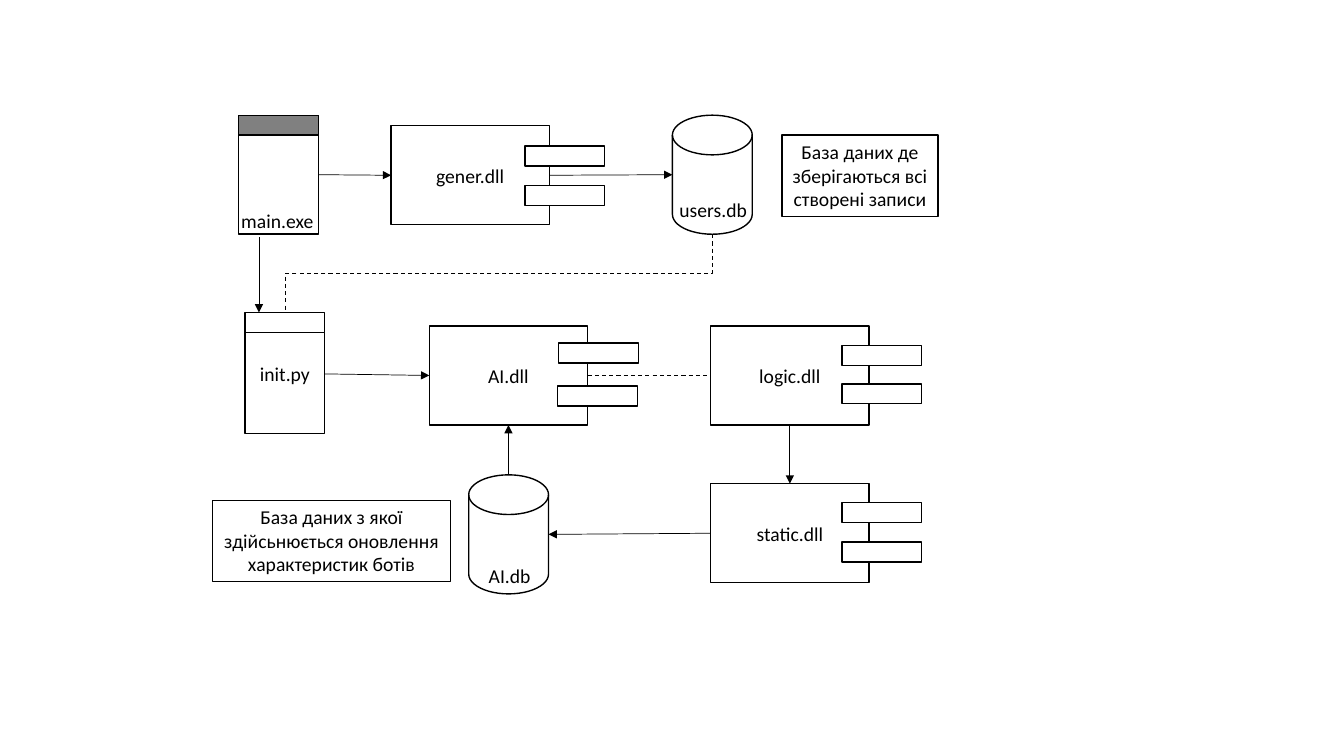
"""Build a component diagram slide of program modules and databases."""
from lxml.etree import SubElement
from pptx import Presentation
from pptx.dml.color import RGBColor
from pptx.enum.dml import MSO_LINE
from pptx.enum.shapes import MSO_CONNECTOR, MSO_SHAPE
from pptx.enum.text import MSO_ANCHOR, MSO_AUTO_SIZE, PP_ALIGN
from pptx.oxml.ns import qn
from pptx.util import Pt

TOP, LEFT, BOTTOM, RIGHT = range(4)


def rgb(value):
    return RGBColor.from_string(value)


class Diagram:
    font, size, ink, paper, header = "Calibri", 14, "000000", "FFFFFF", "808080"
    narrow, tall, wide, high, strip = 57, 85, 113, 70.8, 14.2

    def __init__(self, slide):
        self.shapes = slide.shapes

    def set_text(self, sp, text, align, anchor, grow=False, wrap=True):
        tf = sp.text_frame
        tf.text = text
        tf.word_wrap = wrap
        tf.vertical_anchor = anchor
        if grow:
            tf.auto_size = MSO_AUTO_SIZE.SHAPE_TO_FIT_TEXT
        p = tf.paragraphs[0]
        p.alignment = align
        r = p.runs[0]
        r.font.name, r.font.size = self.font, Pt(self.size)
        r.font.color.rgb = rgb(self.ink)

    def box(self, x, y, w, h, text="", fill=None, kind=MSO_SHAPE.RECTANGLE):
        sp = self.shapes.add_shape(kind, Pt(x), Pt(y), Pt(w), Pt(h))
        sp.shadow.inherit = False
        sp.fill.solid()
        sp.fill.fore_color.rgb = rgb(fill or self.paper)
        sp.line.color.rgb = rgb(self.ink)
        sp.line.width = Pt(1)
        if text:
            self.set_text(sp, text, PP_ALIGN.CENTER, MSO_ANCHOR.MIDDLE)
        return sp

    def label(self, x, y, w, text, align=PP_ALIGN.LEFT, wrap=True):
        sp = self.shapes.add_textbox(Pt(x), Pt(y), Pt(w), Pt(24.2))
        self.set_text(sp, text, align, MSO_ANCHOR.TOP, True, wrap)

    def note(self, x, y, w, text):
        sp = self.box(x, y, w, 58.2)
        self.set_text(sp, text, PP_ALIGN.CENTER, MSO_ANCHOR.TOP, True)

    def program(self, x, y, text="", fill=None, rise=0):
        sp = self.box(x, y, self.narrow, self.tall, text)
        self.box(x, y - rise, self.narrow, self.strip, fill=fill)
        return sp

    def database(self, x, y):
        return self.box(x, y, self.narrow, self.tall,
                        kind=MSO_SHAPE.FLOWCHART_MAGNETIC_DISK)

    def component(self, x, y, text, *tabs):
        sp = self.box(x, y, self.wide, self.high, text)
        for dx, dy in tabs:
            self.box(x + dx, y + dy, self.narrow, self.strip)
        return sp

    def side(self, sp, site):
        x, y, w, h = sp.left, sp.top, sp.width, sp.height
        return ((x + w // 2, y), (x, y + h // 2),
                (x + w // 2, y + h), (x + w, y + h // 2))[site]

    def draw(self, kind, begin, end, dashed):
        line = self.shapes.add_connector(kind, *begin, *end)
        line.line.color.rgb = rgb(self.ink)
        line.line.width = Pt(0.75 if dashed else 0.5)
        if dashed:
            line.line.dash_style = MSO_LINE.DASH
        else:
            ln = line._element.spPr.find(qn("a:ln"))
            SubElement(ln, qn("a:tailEnd"), type="triangle")
        SubElement(line._element.spPr, qn("a:effectLst"))
        return line

    def arrow(self, begin, end):
        self.draw(MSO_CONNECTOR.STRAIGHT, begin, end, False)

    def link(self, source, source_site, target, target_site, dashed=False):
        line = self.draw(MSO_CONNECTOR.STRAIGHT, self.side(source, source_site),
                         self.side(target, target_site), dashed)
        if source.auto_shape_type == MSO_SHAPE.RECTANGLE:
            line.begin_connect(source, source_site)
        if target.auto_shape_type == MSO_SHAPE.RECTANGLE:
            line.end_connect(target, target_site)

    def step_down_left(self, begin, end):
        across, down = begin[0] - end[0], end[1] - begin[1]
        x = (begin[0] + end[0] - down) // 2
        y = (begin[1] + end[1] - across) // 2
        line = self.draw(MSO_CONNECTOR.ELBOW, (x, y), (x + down, y + across), True)
        line._element.spPr.find(qn("a:xfrm")).set("rot", "5400000")


def main():
    prs = Presentation()
    prs.slide_width, prs.slide_height = Pt(960), Pt(540)
    d = Diagram(prs.slides.add_slide(prs.slide_layouts[6]))

    main_exe = d.program(170.5, 82.3, fill=d.header)
    gener = d.component(279.4, 89.8, "gener.dll", (95.6, 14.5), (95.6, 42.7))
    users_db = d.database(480.3, 82.3)
    ai_db = d.database(334.8, 339.2)
    ai = d.component(306.7, 232.8, "AI.dll", (92.2, 12.3), (91.5, 43))
    logic = d.component(507.7, 232.8, "logic.dll", (93.6, 14), (93.6, 41.4))
    static = d.component(507.7, 345.5, "static.dll", (93.6, 13.4), (93.6, 41.7))
    init = d.program(175, 224.6, "init.py", rise=1.4)

    d.note(558.7, 96.5, 111.2, "База даних де зберігаються всі створені записи")
    d.note(151.7, 357.3, 170.2,
           "База даних з якої здійсьнюється оновлення характеристик ботів")
    d.label(478.2, 137.7, 75.6, "users.db")
    d.label(342, 399.1, 75.6, "AI.db")
    d.label(165, 145.5, 66.2, "main.exe", PP_ALIGN.CENTER, False)

    d.link(ai_db, TOP, ai, BOTTOM)
    d.link(ai, RIGHT, logic, LEFT, dashed=True)
    d.link(main_exe, RIGHT, gener, LEFT)
    d.step_down_left(d.side(users_db, BOTTOM), (Pt(203.8), Pt(223.2)))
    d.link(gener, RIGHT, users_db, LEFT)
    d.arrow((Pt(185), Pt(169.2)), (Pt(185), Pt(223.2)))
    d.link(init, RIGHT, ai, LEFT)
    d.link(static, LEFT, ai_db, RIGHT)
    d.link(logic, BOTTOM, static, TOP)

    prs.save("out.pptx")


if __name__ == "__main__":
    main()
